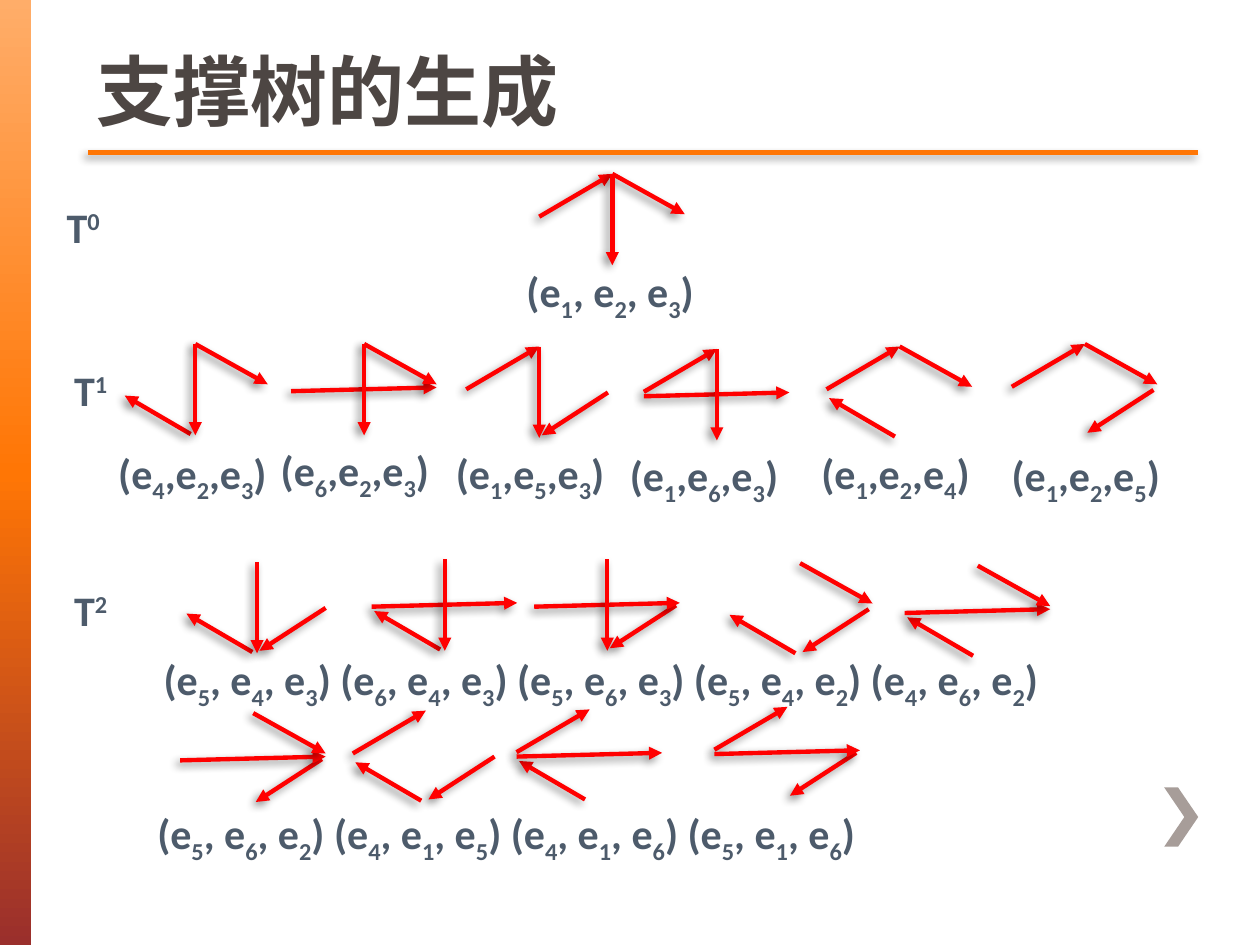
from copy import deepcopy
from dataclasses import dataclass
from itertools import groupby

from lxml.etree import SubElement
from pptx import Presentation
from pptx.dml.color import RGBColor as Rgb
from pptx.enum.shapes import MSO_CONNECTOR as Connector, MSO_SHAPE as Preset
from pptx.enum.text import MSO_ANCHOR as Anchor, MSO_AUTO_SIZE as AutoSize
from pptx.oxml.ns import qn
from pptx.util import Inches, Pt

# The slide is a grid of 100 columns by 75 rows
COLUMNS, ROWS = 100, 75


@dataclass(frozen=True)
class Theme:
    bar: tuple = ((0, "FFAD69"), (0.5, "FF7605"), (1, "9A2F2C"))
    accent: str = "FF7605"
    chevron: str = "A79D99"
    title: str = "4D4643"
    title_edge: str = "675D59"
    label: str = "4D5B6B"
    arrow: str = "FF0000"
    title_size: int = 44
    label_size: int = 24
    line_width: float = 2.5
    title_font: str = "Arial"
    label_font: str = "Calibri"


THEME = Theme()

# Edges of the graph, as offsets from its top vertex: start, end
EDGES = {
    "1": ((-5.8, 3.4), (0, 0)),
    "2": ((0, 0), (5.75, 3.2)),
    "3": ((0, 0), (0, 7.25)),
    "4": ((-3.7, 7.15), (-5.6, 4.1)),
    "5": ((5.45, 3.65), (0.2, 7.05)),
    "6": ((-5.8, 3.75), (5.75, 3.45)),
}
EDGES["4"] = ((-0.37, 7.15), (-5.6, 4.1))

# Trees: edges, column and row of the top vertex
FIRST_TREE = ("123", 48.6, 13.8)
# In the next generation each tree has its own label: column and row follow
SECOND_TREES = [
    ("423", 15.5, 27.3, 8.4, 35),
    ("623", 28.9, 27.3, 21.3, 34.8),
    ("153", 42.8, 27.5, 35.2, 35),
    ("163", 56.9, 27.7, 49, 35.2),
    ("124", 71.4, 27.5, 64.2, 35),
    ("125", 86.1, 27.3, 79.3, 35.2),
]
# In the last generation one label runs below each row of trees
THIRD_ROWS = [
    ([("543", 20.4, 44.6), ("643", 35.3, 44.4), ("563", 48.2, 44.4),
      ("542", 63.5, 44.7), ("462", 77.6, 44.9)], (12, 51.4, 78.3)),
    ([("562", 20.1, 56.6), ("415", 33.8, 56.4), ("416", 46.8, 56.3),
      ("516", 62.5, 56.1)], (11.5, 63.6, 61.7)),
]
GENERATIONS = [("T0", 4.3, 15.5), ("T1", 4.9, 28.4), ("T2", 4.9, 45.9)]
SUPERSCRIPT, SUBSCRIPT = 30, -25
LABEL_HEIGHT = 5


def cells(count):
    return Inches(count / 10)


def add_soft_shadow(shape):
    effects = SubElement(shape._element.spPr, qn("a:effectLst"))
    shadow = SubElement(effects, qn("a:outerShdw"), blurRad=str(Pt(5)),
                        dist=str(Pt(3)), dir=str(135 * 60000), rotWithShape="0")
    color = SubElement(shadow, qn("a:srgbClr"), val="000000")
    SubElement(color, qn("a:alpha"), val="45000")


def add_line(page, start, end, color, arrow=False):
    line = page.shapes.add_connector(
        Connector.STRAIGHT, *[cells(length) for length in (*start, *end)])
    line.line.color.rgb = Rgb.from_string(color)
    line.line.width = Pt(THEME.line_width)
    if arrow:
        SubElement(line.line._get_or_add_ln(), qn("a:tailEnd"), type="triangle")
    add_soft_shadow(line)


def add_side_bar(page):
    bar = page.shapes.add_shape(Preset.RECTANGLE, 0, 0, cells(2.5), cells(ROWS))
    bar.shadow.inherit = False
    bar.line.fill.background()
    bar.fill.gradient()
    bar.fill.gradient_angle = 270
    stops = bar._element.spPr.find(".//" + qn("a:gsLst"))
    stops.append(deepcopy(stops[-1]))
    for stop, (position, color) in zip(bar.fill.gradient_stops, THEME.bar):
        stop.position = position
        stop.color.rgb = Rgb.from_string(color)


def add_chevron(page):
    outline = [(93.5, 62.5), (92.4, 62.5), (94, 64.85), (92.4, 67.2),
               (93.5, 67.2), (95.1, 64.85)]
    points = [(cells(x), cells(y)) for x, y in outline]
    builder = page.shapes.build_freeform(*points[0])
    builder.add_line_segments(points[1:], close=True)
    chevron = builder.convert_to_shape()
    chevron.shadow.inherit = False
    chevron.line.fill.background()
    chevron.fill.solid()
    chevron.fill.fore_color.rgb = Rgb.from_string(THEME.chevron)


def set_font(para, name, size, color):
    para.font.name = name
    para.font.size = Pt(size)
    para.font.bold = True
    para.font.color.rgb = Rgb.from_string(color)


def add_title(page, text):
    box = page.shapes.add_textbox(cells(6.7), 0, cells(88.1), cells(11.3))
    box.text_frame.word_wrap = True
    box.text_frame.vertical_anchor = Anchor.BOTTOM
    para = box.text_frame.paragraphs[0]
    set_font(para, THEME.title_font, THEME.title_size, THEME.title)
    span = para.add_run()
    span.text = text
    edge = SubElement(span._r.get_or_add_rPr(), qn("a:ln"), w=str(Pt(1)))
    fill = SubElement(edge, qn("a:solidFill"))
    SubElement(fill, qn("a:srgbClr"), val=THEME.title_edge)


def add_label(page, text, left, top, width, shift=SUBSCRIPT, wrap=False):
    """Write text with its digits raised or lowered by shift percent."""
    box = page.shapes.add_textbox(
        *[cells(length) for length in (left, top, width, LABEL_HEIGHT)])
    box.text_frame.word_wrap = wrap
    box.text_frame.auto_size = AutoSize.SHAPE_TO_FIT_TEXT
    para = box.text_frame.paragraphs[0]
    set_font(para, THEME.label_font, THEME.label_size, THEME.label)
    for is_digit, letters in groupby(text, str.isdigit):
        span = para.add_run()
        span.text = "".join(letters)
        if is_digit:
            span._r.get_or_add_rPr().set("baseline", str(shift * 1000))


def tree_name(edges, separator=", "):
    return "(" + separator.join("e" + edge for edge in edges) + ")"


def add_tree(page, edges, column, row):
    for edge in edges:
        start, end = [(column + x, row + y) for x, y in EDGES[edge]]
        add_line(page, start, end, THEME.arrow, arrow=True)


def main():
    deck = Presentation()
    deck.slide_width, deck.slide_height = cells(COLUMNS), cells(ROWS)
    page = deck.slides.add_slide(deck.slide_layouts[6])

    # Frame and title
    add_side_bar(page)
    add_chevron(page)
    add_line(page, (7, 12.1), (95.1, 12.1), THEME.accent)
    add_title(page, "支撑树的生成")

    # Generation names
    for name, left, top in GENERATIONS:
        add_label(page, name, left, top, 4.8, SUPERSCRIPT)

    # First tree
    add_tree(page, *FIRST_TREE)
    add_label(page, tree_name(FIRST_TREE[0]), 40.8, 20.6, 15.9)

    # Trees with one edge exchanged
    for edges, column, row, left, top in SECOND_TREES:
        add_tree(page, edges, column, row)
        add_label(page, tree_name(edges, ","), left, top, 14.4)

    # Trees with two edges exchanged
    for trees, place in THIRD_ROWS:
        for tree in trees:
            add_tree(page, *tree)
        names = " ".join(tree_name(edges) for edges, _, _ in trees)
        add_label(page, names, *place, wrap=True)

    deck.save("out.pptx")


if __name__ == "__main__":
    main()
